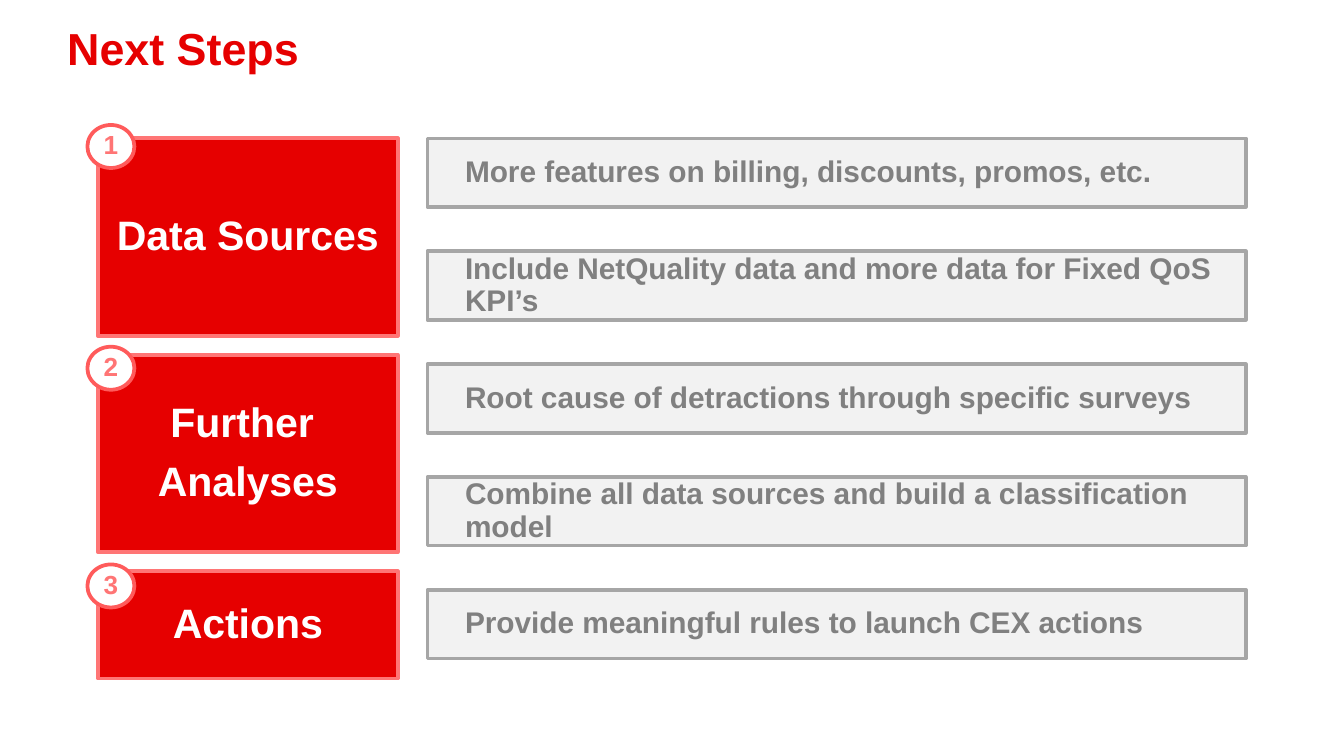
from pptx import Presentation, util as u
from pptx.dml.color import RGBColor
from pptx.enum import shapes, text

TITLE = "Next Steps"
STEPS = [
    {"lines": ["Data Sources"], "height": 1.47, "badge_rise": 0.10},
    {"lines": ["Further ", "Analyses"], "height": 1.47, "badge_rise": 0.06},
    {"lines": ["Actions"], "height": 0.80, "badge_rise": 0.05},
]
ACTIONS = [
    "More features on billing, discounts, promos, etc.",
    "Include NetQuality data and more data for Fixed QoS KPI’s",
    "Root cause of detractions through specific surveys",
    "Combine all data sources and build a classification model",
    "Provide meaningful rules to launch CEX actions",
]

LEFT, CENTER = text.PP_ALIGN.LEFT, text.PP_ALIGN.CENTER
THEME = {
    "font": "Arial",
    "line_width": 2,
    "title": {"size": 24, "ink": "E60000", "align": LEFT, "spacing": 0.8,
              "inset": (0, 0)},
    "action": {"size": 16, "ink": "808080", "align": LEFT, "spacing": 0.9,
               "inset": (0.28, 0.01), "fill": "F2F2F2", "line": "A6A6A6"},
    "step": {"size": 22, "ink": "FFFFFF", "align": CENTER, "spacing": 0.9,
             "inset": (0.01, 0.01), "fill": "E60000", "line": "FF7575"},
    "badge": {"size": 14, "ink": "FF7575", "align": CENTER, "spacing": 0.9,
              "inset": (0, 0), "fill": "FFFFFF", "line": "FF5B5B"},
}

SLIDE_WIDTH = 10
SLIDE_HEIGHT = SLIDE_WIDTH * 9 / 16
GRID_TOP = 1.03
STEP_LEFT, STEP_WIDTH, STEP_GAP = 0.73, 2.23, 0.14
ACTION_LEFT, ACTION_WIDTH, ACTION_HEIGHT, ACTION_PITCH = 3.18, 6.09, 0.51, 0.84
BADGE_LEFT, BADGE_WIDTH, BADGE_HEIGHT = 0.65, 0.35, 0.32


def apply(target, values):
    for name, value in values.items():
        setattr(target, name, value)


def write(box, lines, style, anchor):
    left, other = (u.Inches(inset) for inset in style["inset"])
    frame = box.text_frame
    apply(frame, {"word_wrap": True, "vertical_anchor": anchor,
                  "margin_left": left, "margin_right": other,
                  "margin_top": other, "margin_bottom": other})
    for index, line in enumerate(lines):
        para = frame.add_paragraph() if index else frame.paragraphs[0]
        apply(para, {"alignment": style["align"], "line_spacing": style["spacing"]})
        if index < len(lines) - 1:
            para.space_after = u.Pt(round(0.35 * style["size"]))
        span = para.add_run()
        span.text = line
        apply(span.font, {"name": THEME["font"], "size": u.Pt(style["size"]),
                          "bold": True})
        span.font.color.rgb = RGBColor.from_string(style["ink"])


def add_panel(page, kind, bounds, lines, style):
    panel = page.shapes.add_shape(kind, *map(u.Inches, bounds))
    panel.shadow.inherit = False
    panel.fill.solid()
    panel.fill.fore_color.rgb = RGBColor.from_string(style["fill"])
    panel.line.color.rgb = RGBColor.from_string(style["line"])
    panel.line.width = u.Pt(THEME["line_width"])
    write(panel, lines, style, text.MSO_ANCHOR.MIDDLE)


def main():
    deck = Presentation()
    apply(deck, {"slide_width": u.Inches(SLIDE_WIDTH),
                 "slide_height": u.Inches(SLIDE_HEIGHT)})
    page = deck.slides.add_slide(deck.slide_layouts[6])
    rectangle = shapes.MSO_SHAPE.RECTANGLE
    oval = shapes.MSO_SHAPE.OVAL

    heading = page.shapes.add_textbox(*map(u.Inches, (0.5, 0.23, 8.85, 0.96)))
    write(heading, [TITLE], THEME["title"], text.MSO_ANCHOR.TOP)

    for row, action in enumerate(ACTIONS):
        top = GRID_TOP + row * ACTION_PITCH
        add_panel(page, rectangle, (ACTION_LEFT, top, ACTION_WIDTH, ACTION_HEIGHT),
                  [action], THEME["action"])

    top = GRID_TOP
    for number, step in enumerate(STEPS, 1):
        add_panel(page, rectangle, (STEP_LEFT, top, STEP_WIDTH, step["height"]),
                  step["lines"], THEME["step"])
        badge_top = top - step["badge_rise"]
        add_panel(page, oval, (BADGE_LEFT, badge_top, BADGE_WIDTH, BADGE_HEIGHT),
                  [str(number)], THEME["badge"])
        top += step["height"] + STEP_GAP

    deck.save("out.pptx")


if __name__ == "__main__":
    main()
